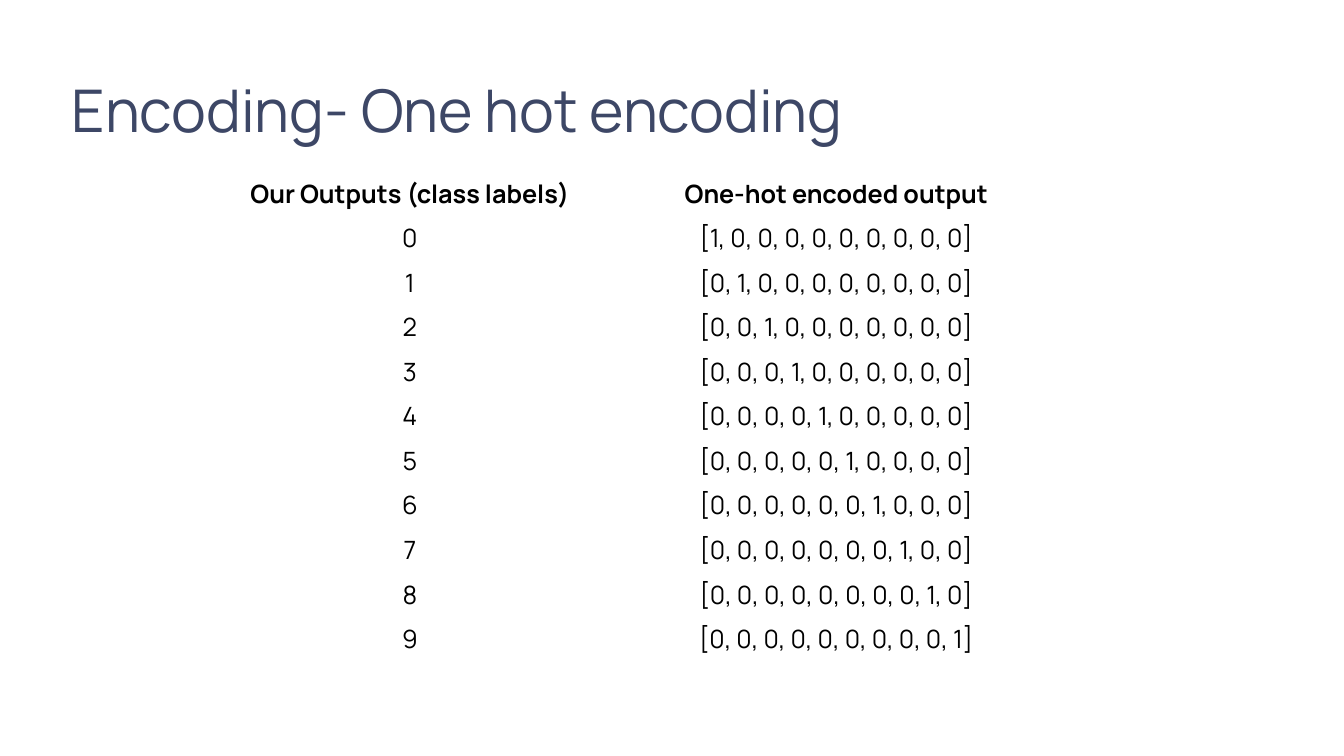
from pptx import Presentation
from pptx.dml.color import RGBColor
from pptx.enum.text import MSO_ANCHOR, PP_ALIGN
from pptx.util import Emu, Pt

MIDDLE = MSO_ANCHOR.MIDDLE
LEFT, CENTER = PP_ALIGN.LEFT, PP_ALIGN.CENTER
FONT = "Manrope"
CLASSES = 10
HEADERS = ("Our Outputs (class labels)", "One-hot encoded output")


def px(n):
    return Emu(n * 9144)


def rgb(value):
    return RGBColor.from_string(value)


def write(tf, text, size, color, align, bold=False):
    tf.text = text
    p = tf.paragraphs[0]
    p.alignment = align
    font = p.runs[0].font
    font.name = FONT
    font.size = Pt(size)
    font.bold = bold
    font.color.rgb = rgb(color)
    return p


def add_title(s, text, x, y, w, h):
    tf = s.shapes.add_textbox(px(x), px(y), px(w), px(h)).text_frame
    tf.word_wrap = True
    tf.vertical_anchor = MIDDLE
    tf.margin_left = px(12)
    p = write(tf, text, 42, "3D4766", LEFT)
    p.line_spacing = 0.9


def add_table(s, rows, x, y, w, h):
    cols = len(rows[0])
    frame = s.shapes.add_table(len(rows), cols, px(x), px(y), px(w), px(h))
    table = frame.table
    table.horz_banding = False
    for col in table.columns:
        col.width = px(w) // cols
    for i, values in enumerate(rows):
        table.rows[i].height = px(h) // len(rows)
        for j, value in enumerate(values):
            cell = table.cell(i, j)
            cell.fill.background()
            cell.vertical_anchor = MIDDLE
            write(cell.text_frame, value, 18, "000000", CENTER, bold=i == 0)


def one_hot(label):
    return str([int(i == label) for i in range(CLASSES)])


def main():
    prs = Presentation()
    prs.slide_width, prs.slide_height = px(1333), px(750)
    s = prs.slides.add_slide(prs.slide_layouts[6])
    add_title(s, "Encoding- One hot encoding", 59, 40, 1218, 145)
    rows = [HEADERS] + [(str(n), one_hot(n)) for n in range(CLASSES)]
    add_table(s, rows, 195, 170, 846, 486)
    prs.save("out.pptx")


if __name__ == "__main__":
    main()
